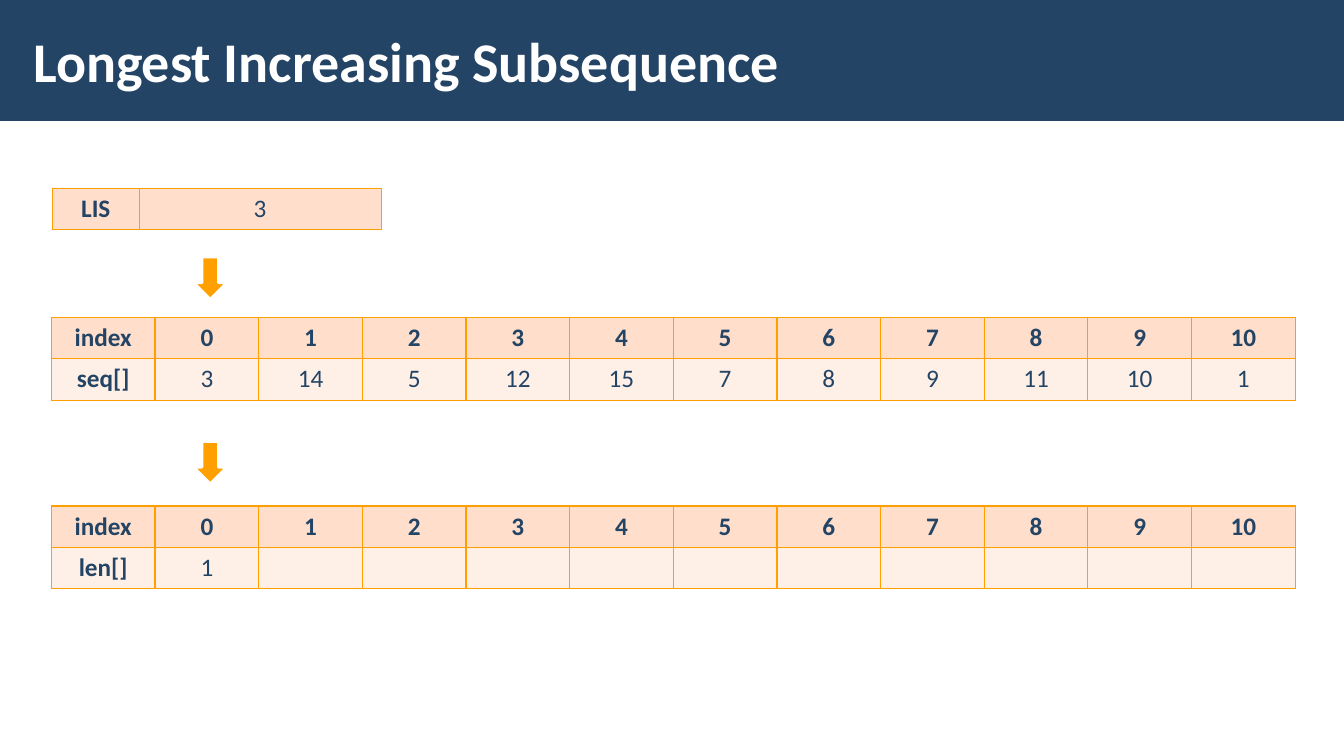
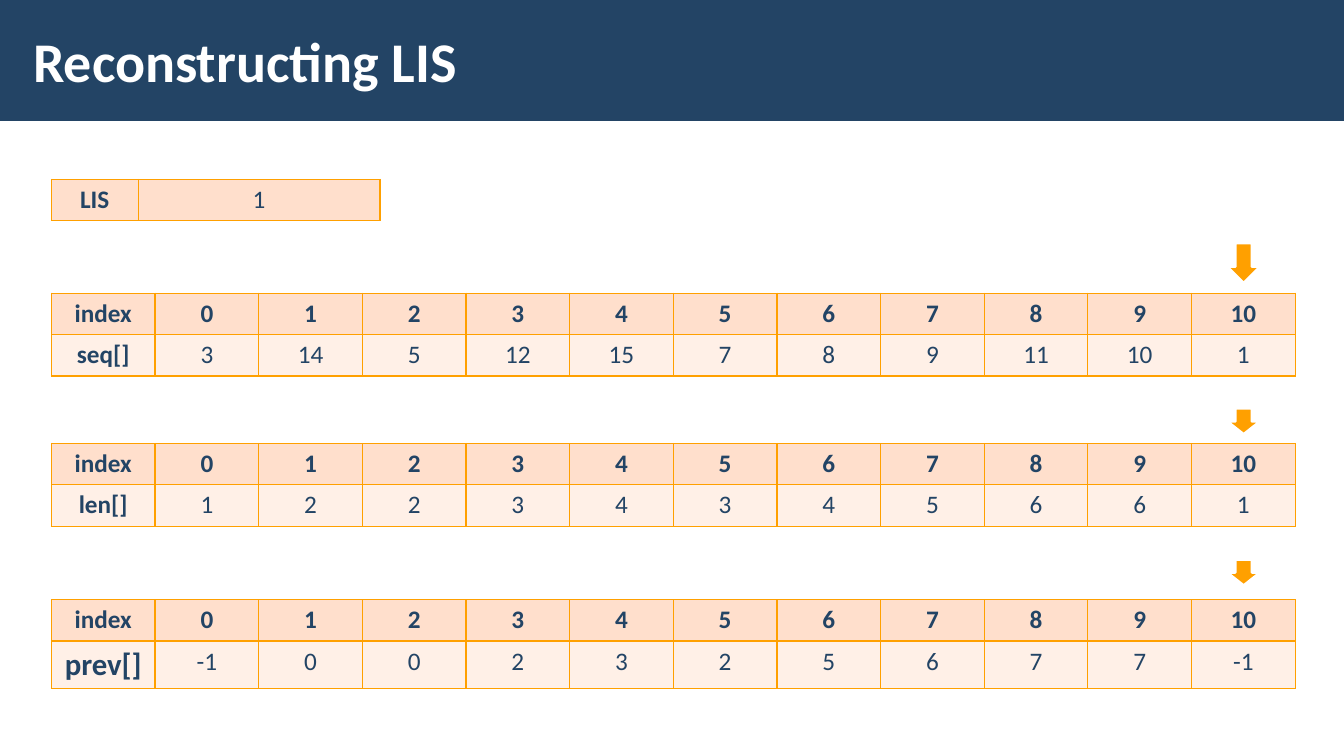
from lxml.etree import SubElement
from pptx import Presentation
from pptx.dml.color import RGBColor
from pptx.enum.shapes import MSO_SHAPE as Preset
from pptx.enum.text import MSO_ANCHOR as Anchor, PP_ALIGN as Align
from pptx.oxml.ns import qn
from pptx.util import Inches, Pt

COLORS = {
    "navy": "234465",
    "orange": "FFA000",
    "peach": "FFDFCC",
    "cream": "FFF0E7",
    "white": "FFFFFF",
}
FONT = "Calibri"
TABLE_LEFT = 0.51
TABLE_WIDTH = 12.34
ROW_HEIGHT = 0.41
SEQUENCE = [3, 14, 5, 12, 15, 7, 8, 9, 11, 10, 1]
BLANK_LAYOUT = 6


def color(name):
    return RGBColor.from_string(COLORS[name])


class SlideBuilder:
    """Holds the shared style and the slide being filled."""

    def __init__(self, deck):
        self.deck = deck
        self.page = None

    def new_page(self, title):
        self.page = self.deck.slides.add_slide(self.deck.slide_layouts[BLANK_LAYOUT])
        band = self.shape(Preset.RECTANGLE, 0, 0, 13.33, 1.2, "navy")
        band.line.fill.background()
        box = self.page.shapes.add_textbox(
            Inches(0.21), Inches(0.11), Inches(10.63), Inches(0.97))
        frame = box.text_frame
        frame.word_wrap = True
        frame.vertical_anchor = Anchor.MIDDLE
        frame.margin_left = frame.margin_right = Inches(0.12)
        frame.margin_top = frame.margin_bottom = Inches(0.04)
        self.set_text(frame, title, 40, "white", True, Align.LEFT)

    def set_text(self, frame, text, size, ink, bold, align=Align.CENTER):
        para = frame.paragraphs[0]
        if text:
            para.add_run().text = text
        para.alignment = align
        para.font.name = FONT
        para.font.size = Pt(size)
        para.font.bold = bold
        para.font.color.rgb = color(ink)

    def shape(self, preset, left, top, width, height, fill):
        shape = self.page.shapes.add_shape(
            preset, Inches(left), Inches(top), Inches(width), Inches(height))
        shape.shadow.inherit = False
        shape.fill.solid()
        shape.fill.fore_color.rgb = color(fill)
        return shape

    def arrow(self, left, top, height):
        arrow = self.shape(Preset.DOWN_ARROW, left, top, 0.33, height, "orange")
        arrow.line.color.rgb = color("white")
        arrow.line.width = Pt(2)

    def border(self, cell):
        properties = cell._tc.get_or_add_tcPr()
        for side in ("lnL", "lnR", "lnT", "lnB"):
            line = SubElement(properties, qn(f"a:{side}"), w=str(Pt(1)))
            fill = SubElement(line, qn("a:solidFill"))
            SubElement(fill, qn("a:srgbClr"), val=COLORS["orange"])

    def table(self, rows, left, top, widths, label_size=18):
        """Add a table whose first row is peach and whose later rows are cream."""
        table = self.page.shapes.add_table(
            len(rows), len(widths), Inches(left), Inches(top),
            Inches(sum(widths)), Inches(ROW_HEIGHT * len(rows))).table
        table.first_row = table.horz_banding = False
        for column, width in zip(table.columns, widths):
            column.width = Inches(width)
        for r, values in enumerate(rows):
            for c, value in enumerate(values):
                cell = table.cell(r, c)
                self.border(cell)
                cell.fill.solid()
                cell.fill.fore_color.rgb = color("cream" if r else "peach")
                is_header = c == 0 or (r == 0 and len(rows) > 1)
                size = label_size if r and c == 0 else 18
                self.set_text(cell.text_frame, str(value), size, "navy", is_header)

    def array(self, name, values, top, label_size=18):
        """Add an index row above the values, padded with empty cells."""
        count = len(SEQUENCE)
        padding = [""] * (count - len(values))
        rows = [["index", *range(count)], [name, *values, *padding]]
        widths = [TABLE_WIDTH / (count + 1)] * (count + 1)
        self.table(rows, TABLE_LEFT, top, widths, label_size)

    def lis(self, value, left, top):
        self.table([["LIS", value]], left, top, [0.86, 2.4])


def main():
    deck = Presentation()
    deck.slide_width = Inches(13.33)
    deck.slide_height = Inches(7.5)
    builder = SlideBuilder(deck)

    builder.new_page("Longest Increasing Subsequence")
    for top in (2.55, 4.38):
        builder.arrow(1.92, top, 0.42)
    builder.array("seq[]", SEQUENCE, 3.15)
    builder.array("len[]", [1], 5.02)
    builder.lis(3, 0.52, 1.87)

    builder.new_page("Reconstructing LIS")
    for top, height in ((2.41, 0.4), (4.05, 0.26), (5.55, 0.26)):
        builder.arrow(12.17, top, height)
    builder.array("seq[]", SEQUENCE, 2.91)
    builder.array("len[]", [1, 2, 2, 3, 4, 3, 4, 5, 6, 6, 1], 4.4)
    builder.array("prev[]", [-1, 0, 0, 2, 3, 2, 5, 6, 7, 7, -1], 5.95, label_size=22)
    builder.lis(1, TABLE_LEFT, 1.78)

    deck.save("out.pptx")


if __name__ == "__main__":
    main()
